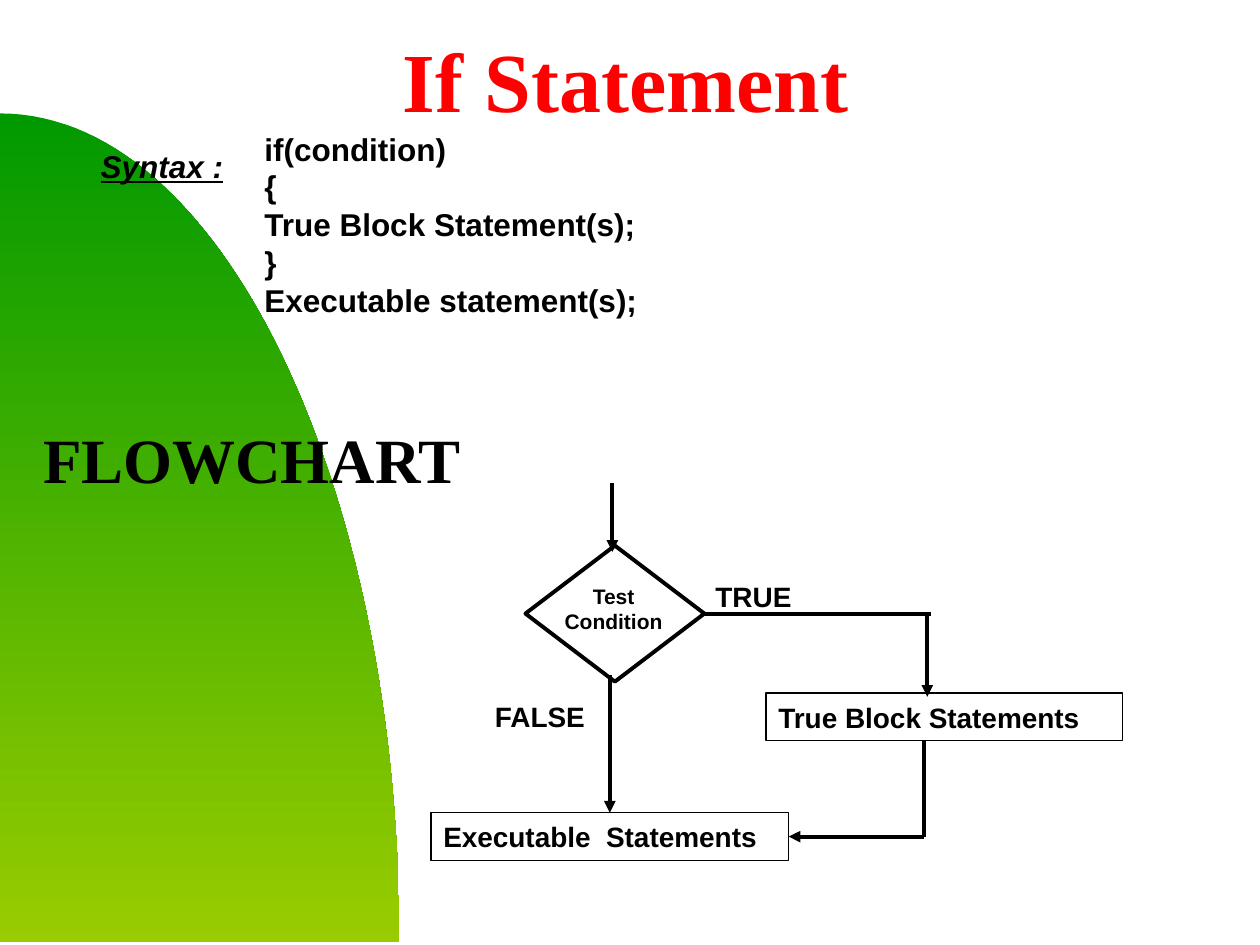
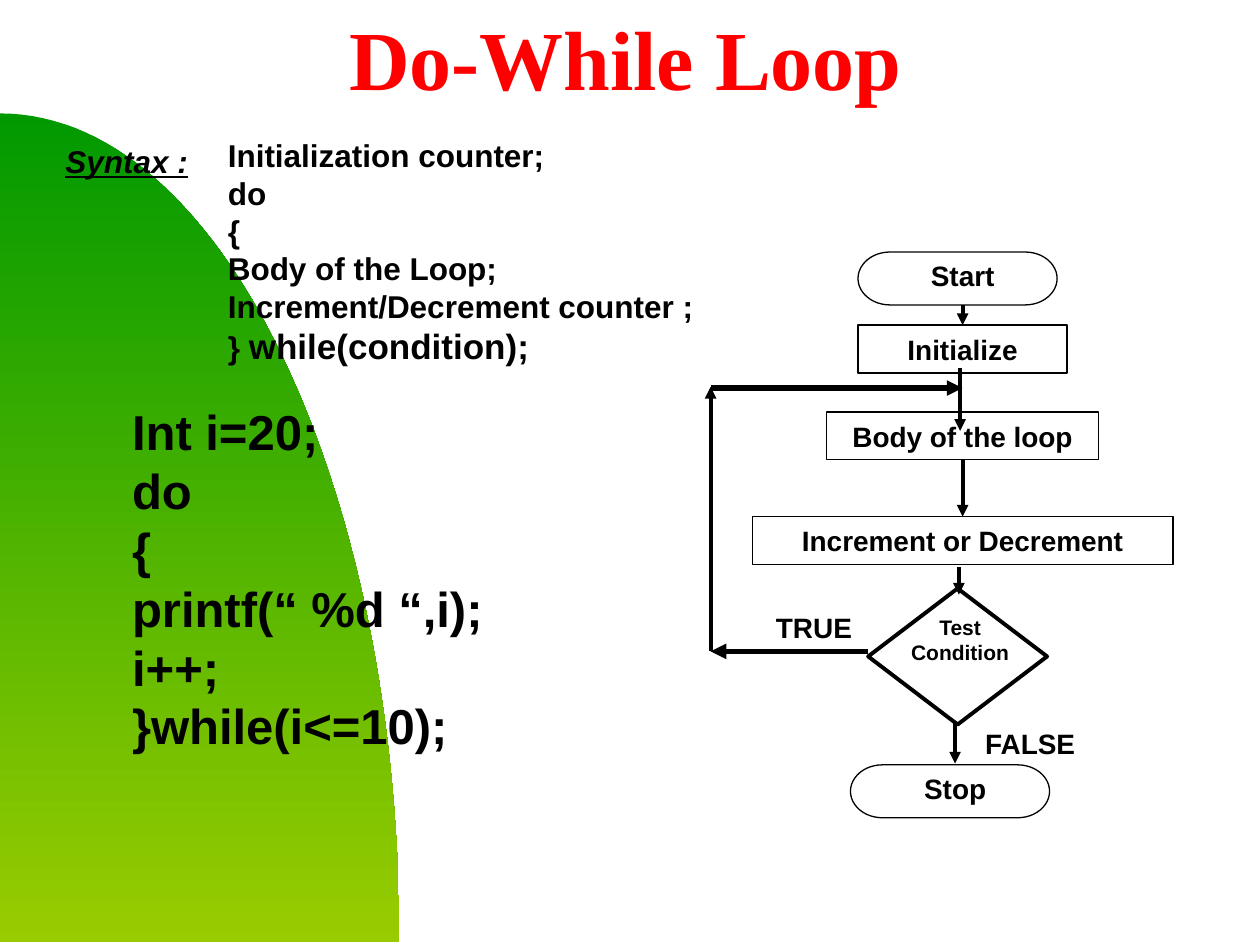
from lxml import etree
from pptx import Presentation
from pptx.dml.color import RGBColor
from pptx.enum.shapes import MSO_CONNECTOR, MSO_SHAPE
from pptx.enum.text import MSO_ANCHOR, PP_ALIGN
from pptx.oxml.ns import qn
from pptx.util import Inches, Pt

BLACK = RGBColor(0x00, 0x00, 0x00)
RED = RGBColor(0xFF, 0x00, 0x00)
GREEN = RGBColor(0x00, 0x99, 0x00)
LIME = RGBColor(0x99, 0xCC, 0x00)
SANS, SERIF = "Arial", "Times New Roman"
LEFT, CENTER = PP_ALIGN.LEFT, PP_ALIGN.CENTER
MIDDLE = MSO_ANCHOR.MIDDLE
RECTANGLE, DIAMOND = MSO_SHAPE.RECTANGLE, MSO_SHAPE.DIAMOND
TERMINATOR = MSO_SHAPE.FLOWCHART_TERMINATOR
STRAIGHT = MSO_CONNECTOR.STRAIGHT
TOP, BOTTOM, SIDE_RIGHT = 0, 2, 3


def add_item(slide, at, lines=(), size=16, align=LEFT, font=SANS, color=BLACK,
             shape_type=None, outline=0.75):
    """Add a text box, or an outlined shape; a line is a string or a list of (text, size)."""
    left, top, width, height = (Inches(value) for value in at)
    if shape_type is None:
        box = slide.shapes.add_textbox(left, top, width, height)
    else:
        box = slide.shapes.add_shape(shape_type, left, top, width, height)
        box.shadow.inherit = False
        box.fill.background()
        box.line.color.rgb = BLACK
        box.line.width = Pt(outline)
        box.text_frame.vertical_anchor = MIDDLE
    frame = box.text_frame
    frame.word_wrap = True
    for index, line in enumerate(lines):
        para = frame.add_paragraph() if index else frame.paragraphs[0]
        para.alignment = align
        for text, points in [(line, size)] if isinstance(line, str) else line:
            span = para.add_run()
            span.text = text
            span.font.name = font
            span.font.size = Pt(points)
            span.font.bold = True
            span.font.color.rgb = color
    return box


def add_line(slide, start, end, width=2.25, arrow=True, begin_at=None, end_at=None):
    """Draw a line; begin_at and end_at are (shape, side) pairs to join."""
    line = slide.shapes.add_connector(STRAIGHT, *(Inches(v) for v in (*start, *end)))
    line.line.color.rgb = BLACK
    line.line.width = Pt(width)
    if arrow:
        etree.SubElement(line.line._get_or_add_ln(), qn("a:tailEnd"), type="triangle")
    etree.SubElement(line._element.spPr, qn("a:effectLst"))
    if begin_at:
        line.begin_connect(*begin_at)
    if end_at:
        line.end_connect(*end_at)


deck = Presentation()
deck.slide_width, deck.slide_height = Inches(10), Inches(7.5)

# Shared parts: green curve, title, syntax label and code
curve = [(0, 0.9), (1.75, 0.9), (3.17, 3.85), (3.17, 7.48)]
STEPS = 60
curve_points = []
for step in range(1, STEPS + 1):
    t = step / STEPS
    weights = ((1 - t) ** 3, 3 * t * (1 - t) ** 2, 3 * t ** 2 * (1 - t), t ** 3)
    curve_points.append(tuple(
        Inches(sum(weight * point[axis] for weight, point in zip(weights, curve)))
        for axis in (0, 1)))

pages = [
    ("If Statement", 0.18, (0.7, 1.12), (2, 0.98, 5.01, 1.61),
     ["if(condition)", "{", "True Block Statement(s);", "}", "Executable statement(s);"]),
    ("Do-While Loop", 0, (0.42, 1.08), (1.71, 1.03, 5.01, 1.95),
     ["Initialization counter;", "do", "{", "Body of the Loop;",
      "Increment/Decrement counter ;", [("} ", 18), ("while(condition);", 20)]]),
]
slides = []
for title, title_top, syntax_at, code_at, code in pages:
    slide = deck.slides.add_slide(deck.slide_layouts[6])
    slides.append(slide)
    builder = slide.shapes.build_freeform(Inches(0), Inches(0.9))
    builder.add_line_segments(curve_points + [(Inches(0), Inches(7.48))])
    hill = builder.convert_to_shape()
    hill.shadow.inherit = False
    hill.line.fill.background()
    hill.fill.gradient()
    hill.fill.gradient_angle = 270
    for stop, color in zip(hill.fill.gradient_stops, (GREEN, LIME)):
        stop.color.rgb = color
    add_item(slide, (2.46, title_top, 5.01, 0.91), [title], 48, CENTER, SERIF, RED)
    syntax = add_item(slide, (*syntax_at, 1.75, 0.4), ["Syntax :"], 18)
    syntax_font = syntax.text_frame.paragraphs[0].runs[0].font
    syntax_font.italic = syntax_font.underline = True
    add_item(slide, code_at, code, 18)
if_slide, loop_slide = slides

# If statement flowchart
add_item(if_slide, (0.1, 3.29, 3.8, 0.68), ["FLOWCHART"], 36, CENTER, SERIF)
test = add_item(if_slide, (4.17, 4.33, 1.42, 1.08), shape_type=DIAMOND, outline=2.25)
add_item(if_slide, (4.33, 4.58, 1.08, 0.5), ["Test Condition"], 12, CENTER)
add_item(if_slide, (6.08, 5.5, 2.83, 0.38), ["True Block Statements"], shape_type=RECTANGLE)
executable = add_item(if_slide, (3.42, 6.45, 2.84, 0.38), ["Executable  Statements"],
                      shape_type=RECTANGLE)
add_item(if_slide, (5.58, 4.55, 1.08, 0.37), ["TRUE"])
add_item(if_slide, (3.83, 5.5, 1, 0.37), ["FALSE"])
add_line(if_slide, (4.86, 3.83), (4.86, 4.38))
add_line(if_slide, (4.84, 5.36), (4.84, 6.45), end_at=(executable, TOP))
add_line(if_slide, (5.59, 4.87), (7.39, 4.87), arrow=False, begin_at=(test, SIDE_RIGHT))
add_line(if_slide, (7.36, 4.86), (7.36, 5.53))
add_line(if_slide, (7.33, 5.88), (7.33, 6.64), arrow=False)
add_line(if_slide, (7.33, 6.64), (6.26, 6.64), end_at=(executable, SIDE_RIGHT))

# Do-while example and flowchart
example = ["Int i=20;", "do", "{", "printf(“ %d “,i);", "i++;", "}while(i<=10);"]
add_item(loop_slide, (0.95, 3.14, 3.12, 3.4), example, 28)
for label, left, top in (("Start", 6.81, 2), ("Stop", 6.75, 6.07)):
    terminal = add_item(loop_slide, (left, top, 1.58, 0.42), [label], align=CENTER,
                        shape_type=TERMINATOR)
    terminal.text_frame.margin_left = Inches(0.18)
    terminal.text_frame.margin_top = Inches(0)
initialize, body, increment = (
    add_item(loop_slide, (left, top, width, 0.38), [label], align=CENTER,
             shape_type=RECTANGLE)
    for label, left, top, width in (("Initialize", 6.81, 2.58, 1.66),
                                    ("Body of the loop", 6.56, 3.27, 2.16),
                                    ("Increment or Decrement", 5.97, 4.1, 3.34)))
add_item(loop_slide, (6.89, 4.67, 1.42, 1.08), shape_type=DIAMOND, outline=2.25)
add_item(loop_slide, (7.08, 4.83, 1.08, 0.5), ["Test Condition"], 12, CENTER)
add_item(loop_slide, (6.06, 4.8, 1.08, 0.37), ["TRUE"])
add_item(loop_slide, (7.72, 5.72, 1.08, 0.37), ["FALSE"])
add_line(loop_slide, (7.64, 2.42), (7.64, 2.58), end_at=(initialize, TOP))
add_line(loop_slide, (7.62, 2.92), (7.62, 3.42))
add_line(loop_slide, (7.64, 3.65), (7.64, 4.1), begin_at=(body, BOTTOM),
         end_at=(increment, TOP))
add_line(loop_slide, (7.61, 4.5), (7.61, 4.72))
add_line(loop_slide, (7.58, 5.72), (7.58, 6.06))
add_line(loop_slide, (6.89, 5.17), (5.64, 5.17), 3)
add_line(loop_slide, (5.64, 5.17), (5.64, 3.07))
add_line(loop_slide, (5.64, 3.08), (7.64, 3.08), 3)

deck.save("out.pptx")
